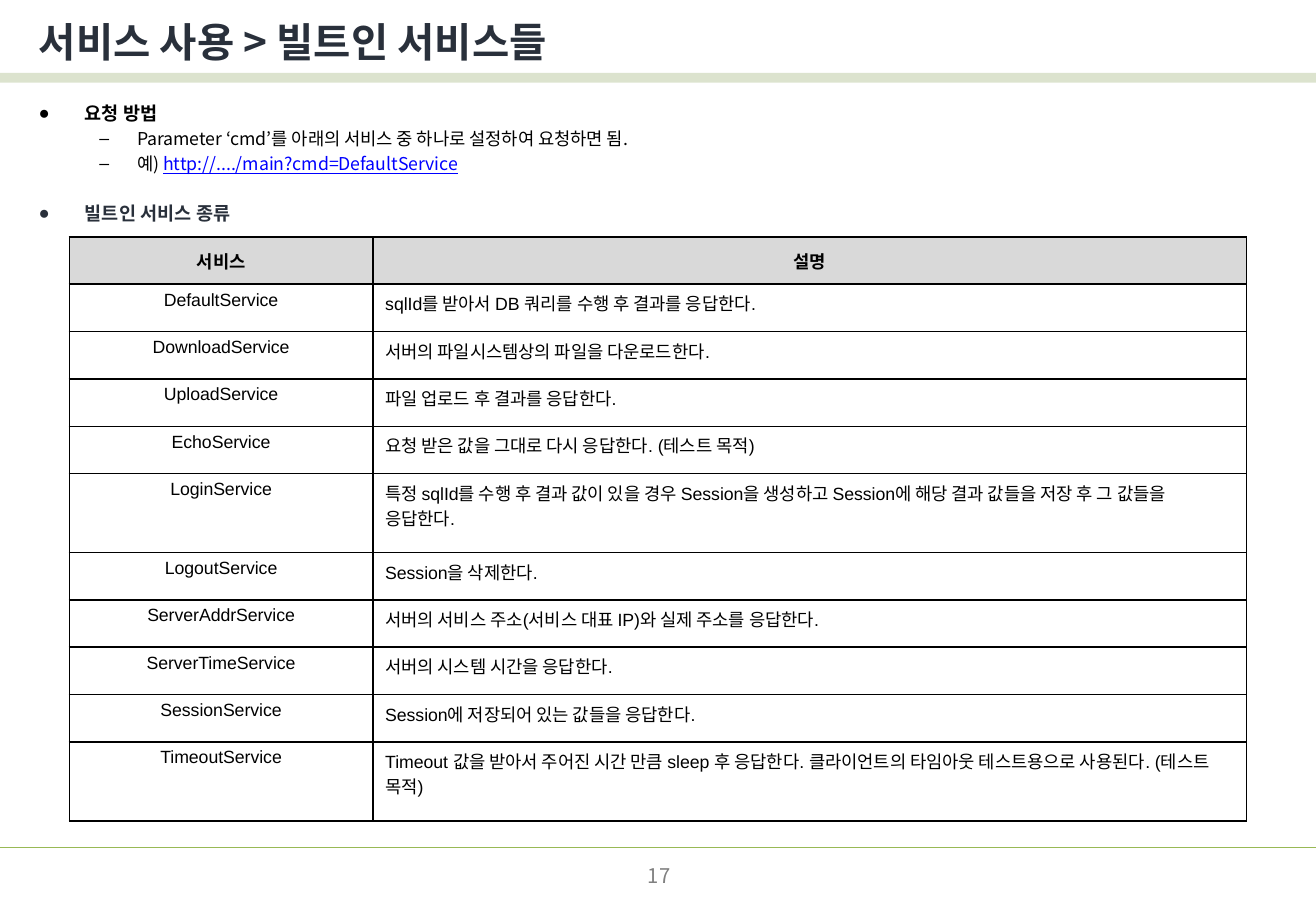
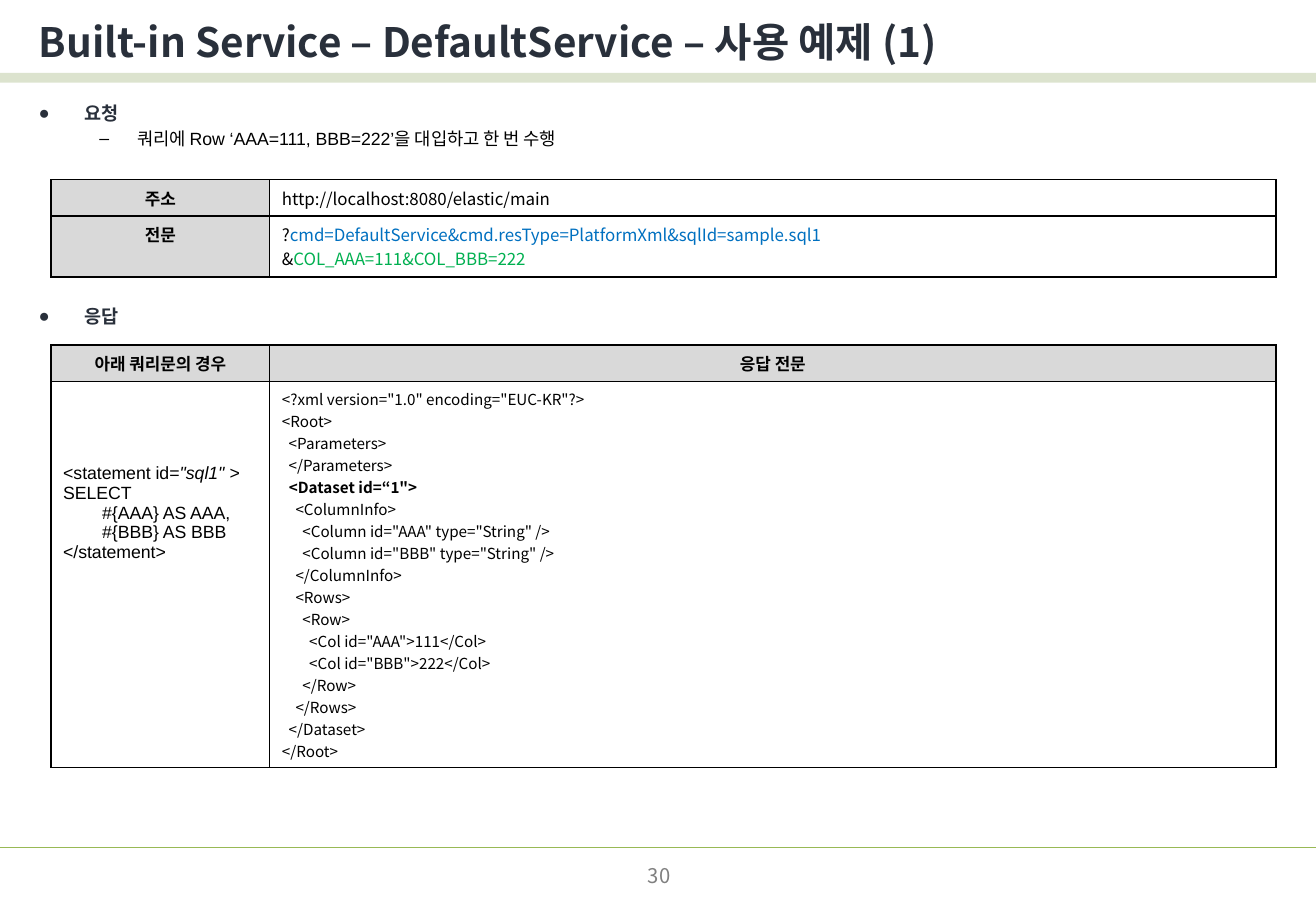
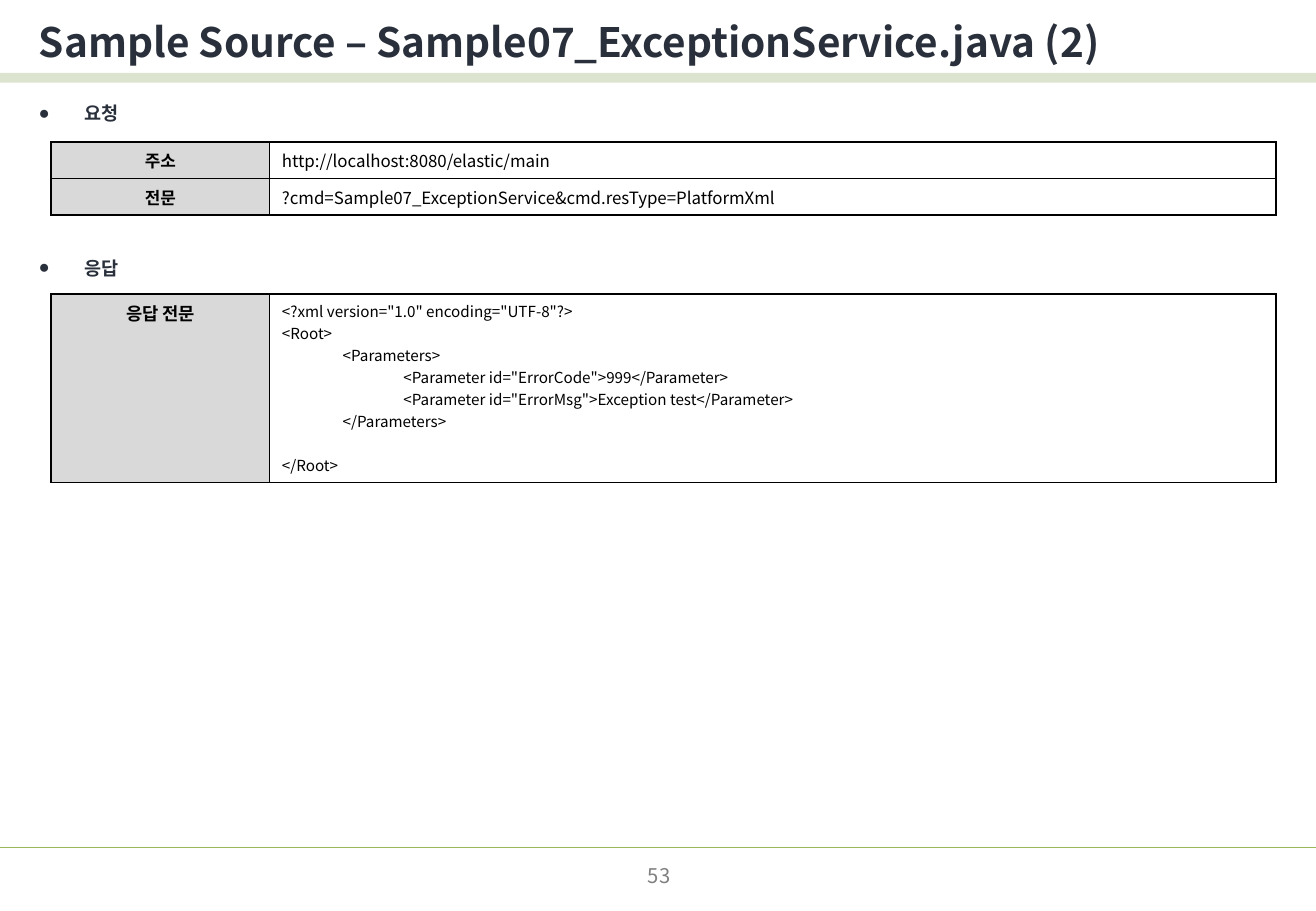
import dataclasses

import lxml.etree
import pptx
import pptx.dml.color
import pptx.enum.shapes
import pptx.enum.text
import pptx.oxml.ns
import pptx.util

Inches = pptx.util.Inches
Pt = pptx.util.Pt
ALIGN = pptx.enum.text.PP_ALIGN
ANCHOR = pptx.enum.text.MSO_ANCHOR


@dataclasses.dataclass(frozen=True)
class Style:
    size: float
    font: str = "Noto Sans CJK KR"
    color: str = "000000"
    bold: bool = False
    italic: bool = False
    underline: bool = False

    def but(self, **changes):
        return dataclasses.replace(self, **changes)


class Theme:
    ink = "29303B"
    band = "77933C"
    band_alpha = 25000
    rule = "98B955"
    border = "000000"
    header = "D9D9D9"
    paper = "FFFFFF"
    asian = "Noto Sans CJK KR"
    title = Style(24, color=ink, bold=True)
    number = Style(12, color="808080")
    heading = Style(11, color=ink, bold=True)
    text = Style(10.5)
    latin = Style(10.5, font="Arial")
    strong = Style(10.5, bold=True)
    label = Style(10, bold=True)
    value = Style(10)
    code = Style(9)
    link = Style(10.5, color="0000FF", underline=True)
    line_pitch = 14.8


WIDTH, HEIGHT = 10.83, 7.5
SECTION_LEFT, SECTION_TOP, SECTION_WIDTH = 0.22, 0.77, 10.61
WIDE_TABLE_LEFT, WIDE_COLUMNS = 0.42, (1.8, 8.28)
BULLETS = (("●", 0.38, 0.38), ("–", 0.81, 0.31))


def rgb(value):
    return pptx.dml.color.RGBColor.from_string(value)


def add_xml(parent, tag, **attributes):
    return lxml.etree.SubElement(parent, pptx.oxml.ns.qn(tag), **attributes)


def write(para, spans):
    for text, style in spans:
        span = para.add_run()
        span.text = text
        font = span.font
        font.size = Pt(style.size)
        font.name = style.font
        font.bold = style.bold
        font.italic = style.italic
        font.underline = style.underline
        font.color.rgb = rgb(style.color)
        add_xml(span._r.get_or_add_rPr(), "a:ea", typeface=Theme.asian)


def fill_frame(frame, lines, align=ALIGN.LEFT):
    for index, spans in enumerate(lines):
        para = frame.add_paragraph() if index else frame.paragraphs[0]
        para.alignment = align
        write(para, spans)


def add_frame(page, title, number):
    rule = page.shapes.add_connector(
        pptx.enum.shapes.MSO_CONNECTOR.STRAIGHT,
        Inches(0), Inches(6.98), Inches(WIDTH), Inches(6.98))
    rule.line.color.rgb = rgb(Theme.rule)
    rule.line.width = Pt(0.75)
    add_xml(rule.element.spPr, "a:effectLst")

    band = page.shapes.add_shape(
        pptx.enum.shapes.MSO_SHAPE.RECTANGLE,
        Inches(0), Inches(0.6), Inches(WIDTH), Inches(0.08))
    band.shadow.inherit = False
    band.line.fill.background()
    band.fill.solid()
    band.fill.fore_color.rgb = rgb(Theme.band)
    color = band.element.spPr.find(".//" + pptx.oxml.ns.qn("a:srgbClr"))
    add_xml(color, "a:alpha", val=str(Theme.band_alpha))

    heading = page.shapes.title
    heading.left, heading.top = Inches(0.22), Inches(0.08)
    heading.width, heading.height = Inches(10.61), Inches(0.52)
    heading.text_frame.vertical_anchor = ANCHOR.MIDDLE
    fill_frame(heading.text_frame, [[(title, Theme.title)]])

    box = page.shapes.add_textbox(Inches(4.16), Inches(7.06), Inches(2.53), Inches(0.29))
    box.text_frame.word_wrap = True
    box.text_frame.vertical_anchor = ANCHOR.MIDDLE
    fill_frame(box.text_frame, [[(number, Theme.number)]], ALIGN.CENTER)


def add_section(page, top, heading, items=(), style=Theme.heading):
    lines = [(0, [(heading, style)])] + [(1, spans) for spans in items]
    box = page.shapes.add_textbox(
        Inches(SECTION_LEFT), Inches(top), Inches(SECTION_WIDTH),
        Inches(0.1 + 0.21 * len(lines)))
    frame = box.text_frame
    frame.word_wrap = True
    for index, (level, spans) in enumerate(lines):
        para = frame.add_paragraph() if index else frame.paragraphs[0]
        para.level = level
        para.line_spacing = Pt(Theme.line_pitch)
        mark, margin, hang = BULLETS[level]
        props = para._p.get_or_add_pPr()
        props.set("marL", str(Inches(margin)))
        props.set("indent", str(-Inches(hang)))
        add_xml(props, "a:buFont", typeface="Arial")
        add_xml(props, "a:buChar", char=mark)
        write(para, spans)


def format_cell(cell, lines, header=False, align=ALIGN.LEFT, anchor=ANCHOR.TOP):
    cell.vertical_anchor = anchor
    cell.fill.solid()
    cell.fill.fore_color.rgb = rgb(Theme.header if header else Theme.paper)
    fill_frame(cell.text_frame, lines, align)
    props = cell._tc.get_or_add_tcPr()
    for index, side in enumerate(("a:lnL", "a:lnR", "a:lnT", "a:lnB")):
        border = add_xml(props, side, w=str(Pt(1)))
        fill = add_xml(border, "a:solidFill")
        add_xml(fill, "a:srgbClr", val=Theme.border)
        props.insert(index, border)


def add_grid(page, left, top, columns, rows):
    shape = page.shapes.add_table(
        len(rows), len(columns), Inches(left), Inches(top),
        Inches(sum(columns)), Inches(sum(rows)))
    table = shape.table
    table.first_row = False
    table.horz_banding = False
    for column, width in zip(table.columns, columns):
        column.width = Inches(width)
    for row, height in zip(table.rows, rows):
        row.height = Inches(height)
    return table


def add_service_table(page, left, top, services):
    rows = [0.39] + [0.65 if tall else 0.39 for _, _, tall in services]
    table = add_grid(page, left, top, (2.5, 7.19), rows)
    for column, text in enumerate(("서비스", "설명")):
        format_cell(table.cell(0, column), [[(text, Theme.strong)]],
                    True, ALIGN.CENTER, ANCHOR.MIDDLE)
    for row, (name, description, _) in enumerate(services, 1):
        format_cell(table.cell(row, 0), [[(name, Theme.latin)]], align=ALIGN.CENTER)
        format_cell(table.cell(row, 1), [[(description, Theme.latin)]])


def add_label_table(page, top, entries, label_style=Theme.label):
    rows = [height for _, _, height in entries]
    table = add_grid(page, WIDE_TABLE_LEFT, top, WIDE_COLUMNS, rows)
    for row, (label, lines, _) in enumerate(entries):
        format_cell(table.cell(row, 0), [[(label, label_style)]], True, ALIGN.CENTER)
        format_cell(table.cell(row, 1), lines)
    return table


def add_query_table(page, top, query, response):
    table = add_grid(page, WIDE_TABLE_LEFT, top, WIDE_COLUMNS, (0.3, 3.18))
    for column, text in enumerate(("아래 쿼리문의 경우", "응답 전문")):
        format_cell(table.cell(0, column), [[(text, Theme.label)]], True, ALIGN.CENTER)
    table.cell(1, 0).margin_top = Inches(0.68)
    format_cell(table.cell(1, 0), query)
    format_cell(table.cell(1, 1), response)


def code_lines(source, bold_mark=None):
    return [[(line, Theme.code.but(bold=bool(bold_mark and bold_mark in line)))]
            for line in source.split("\n")]


SERVICES = (
    ("DefaultService", "sqlId를 받아서 DB 쿼리를 수행 후 결과를 응답한다.", False),
    ("DownloadService", "서버의 파일시스템상의 파일을 다운로드한다.", False),
    ("UploadService", "파일 업로드 후 결과를 응답한다.", False),
    ("EchoService", "요청 받은 값을 그대로 다시 응답한다. (테스트 목적)", False),
    ("LoginService", "특정 sqlId를 수행 후 결과 값이 있을 경우 Session을 생성하고 "
     "Session에 해당 결과 값들을 저장 후 그 값들을 응답한다.", True),
    ("LogoutService", "Session을 삭제한다.", False),
    ("ServerAddrService", "서버의 서비스 주소(서비스 대표 IP)와 실제 주소를 응답한다.", False),
    ("ServerTimeService", "서버의 시스템 시간을 응답한다.", False),
    ("SessionService", "Session에 저장되어 있는 값들을 응답한다.", False),
    ("TimeoutService", "Timeout 값을 받아서 주어진 시간 만큼 sleep 후 응답한다. "
     "클라이언트의 타임아웃 테스트용으로 사용된다. (테스트 목적)", True),
)

DATASET_XML = """<?xml version="1.0" encoding="EUC-KR"?>
<Root>
  <Parameters>
  </Parameters>
  <Dataset id=“1">
    <ColumnInfo>
      <Column id="AAA" type="String" />
      <Column id="BBB" type="String" />
    </ColumnInfo>
    <Rows>
      <Row>
        <Col id="AAA">111</Col>
        <Col id="BBB">222</Col>
      </Row>
    </Rows>
  </Dataset>
</Root>"""

ERROR_XML = """<?xml version="1.0" encoding="UTF-8"?>
<Root>
\t<Parameters>
\t\t<Parameter id="ErrorCode">999</Parameter>
\t\t<Parameter id="ErrorMsg">Exception test</Parameter>
\t</Parameters>
</Root>"""

ADDRESS = ("주소", [[("http://localhost:8080/elastic/main", Theme.value)]], 0.3)


def build_services(page):
    add_frame(page, "서비스 사용 > 빌트인 서비스들", "17")
    add_section(page, SECTION_TOP, "요청 방법", [
        [("Parameter ‘cmd’를 아래의 서비스 중 하나로 설정하여 요청하면 됨.", Theme.text)],
        [("예) ", Theme.text), ("http://..../main?cmd=DefaultService", Theme.link)],
    ], Theme.heading.but(color="000000"))
    add_section(page, 1.59, "빌트인 서비스 종류")
    add_service_table(page, 0.57, 1.95, SERVICES)


def build_default_service(page):
    add_frame(page, "Built-in Service – DefaultService – 사용 예제 (1)", "30")
    add_section(page, SECTION_TOP, "요청", [
        [("쿼리에 Row ‘AAA=111, BBB=222’을 대입하고 한 번 수행", Theme.latin)],
    ])
    message = [
        [("?", Theme.value),
         ("cmd=DefaultService&cmd.resType=PlatformXml&sqlId=sample.sql1",
          Theme.value.but(color="0070C0"))],
        [("&", Theme.value),
         ("COL_AAA=111&COL_BBB=222", Theme.value.but(color="00B050"))],
    ]
    add_label_table(page, 1.48, [ADDRESS, ("전문", message, 0.5)])
    add_section(page, 2.44, "응답")
    query = [
        [("<statement id=", Theme.latin), ('"sql1" ', Theme.latin.but(italic=True)),
         (">", Theme.latin.but(italic=True))],
        [("SELECT", Theme.latin)],
        [("        #{AAA} AS AAA,", Theme.latin)],
        [("        #{BBB} AS BBB", Theme.latin)],
        [("</statement>", Theme.latin)],
    ]
    add_query_table(page, 2.84, query, code_lines(DATASET_XML, "<Dataset"))


def build_exception_service(page):
    add_frame(page, "Sample Source – Sample07_ExceptionService.java (2)", "53")
    add_section(page, SECTION_TOP, "요청")
    message = [[("?cmd=Sample07_ExceptionService&cmd.resType=PlatformXml", Theme.value)]]
    add_label_table(page, 1.17, [ADDRESS, ("전문", message, 0.3)])
    add_section(page, 2.04, "응답")
    table = add_label_table(
        page, 2.42, [("응답 전문", code_lines(ERROR_XML), 1.55)], Theme.strong)
    table.cell(0, 1).text_frame.paragraphs[-1].space_before = Pt(13)


def main():
    deck = pptx.Presentation()
    deck.slide_width, deck.slide_height = Inches(WIDTH), Inches(HEIGHT)
    title_only = deck.slide_layouts[5]
    for build in (build_services, build_default_service, build_exception_service):
        build(deck.slides.add_slide(title_only))
    deck.save("out.pptx")


if __name__ == "__main__":
    main()
